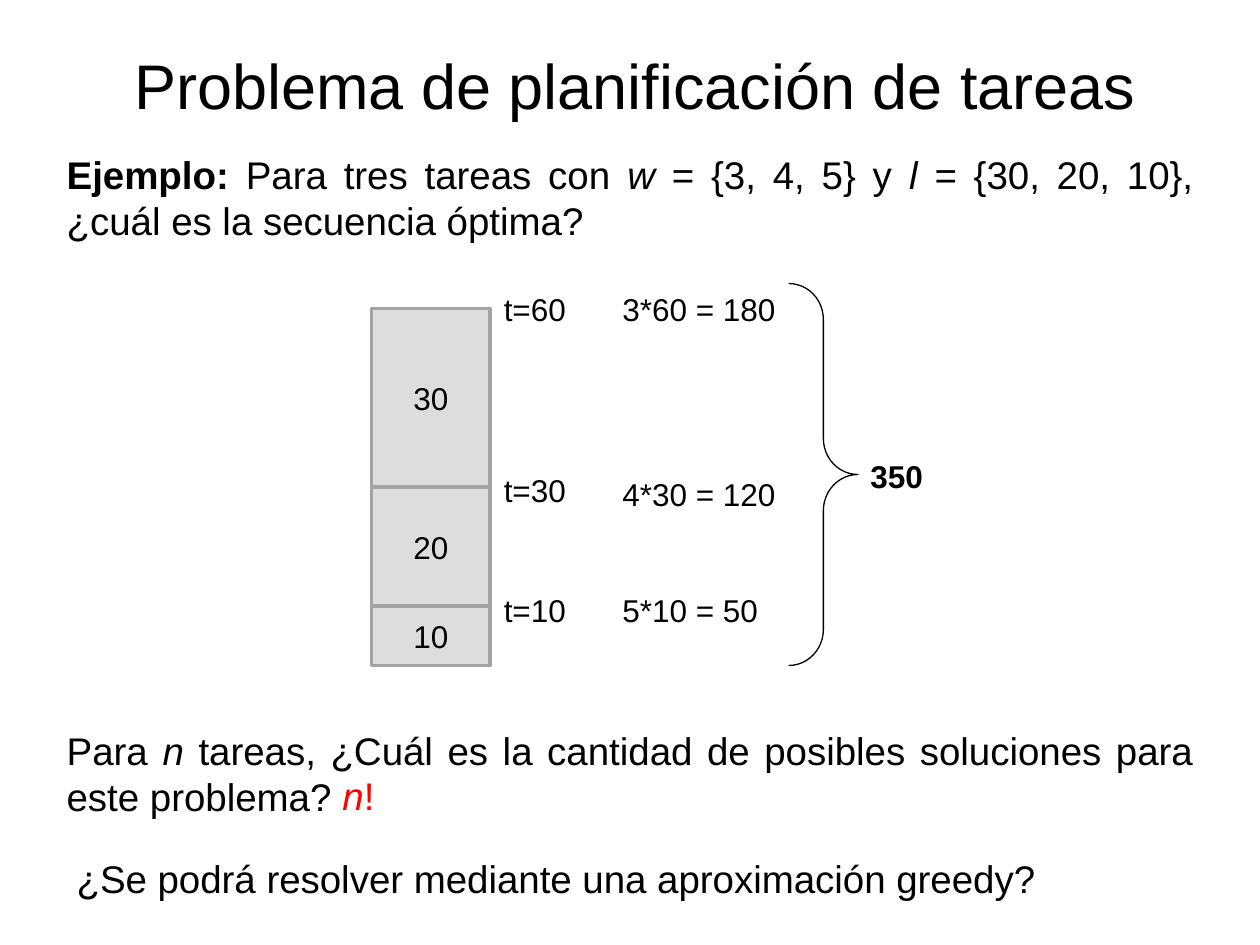
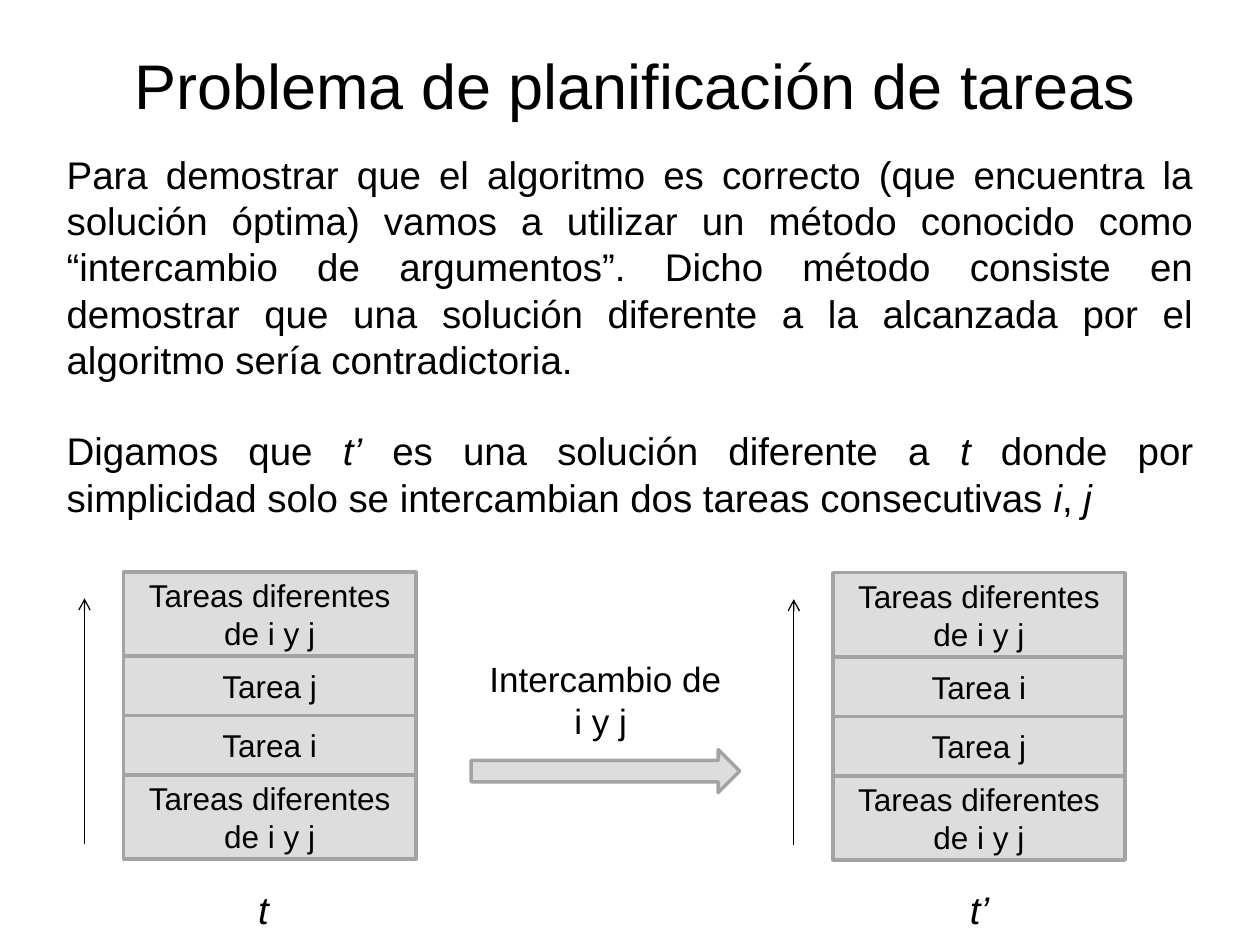
from lxml import etree
from pptx import Presentation
from pptx.dml.color import RGBColor
from pptx.enum import shapes, text
from pptx.oxml import ns
from pptx.util import Pt

BLACK = RGBColor(0x00, 0x00, 0x00)
RED = RGBColor(0xFF, 0x00, 0x00)
TASK_FILL = RGBColor(0xDD, 0xDD, 0xDD)
TASK_EDGE = RGBColor(0xA3, 0xA3, 0xA3)

FONT = "Arial"
LABEL, BODY, TITLE = 18, 22, 36
CENTER, JUSTIFY = text.PP_ALIGN.CENTER, text.PP_ALIGN.JUSTIFY
BODY_LEFT, BODY_TOP, BODY_WIDTH = 31, 82.8, 658


def italic(words):
    return words, "italic"


def bold(words):
    return words, "bold"


class Slides:
    """Shared style plus the slide being filled."""

    def __init__(self):
        self.deck = Presentation()
        self.deck.slide_width, self.deck.slide_height = Pt(720), Pt(540)
        self.page = None

    def new_page(self, title):
        self.page = self.deck.slides.add_slide(self.deck.slide_layouts[6])
        self.text(36.7, 15.1, 652.3, 58.3, [title], TITLE, CENTER,
                  anchor=text.MSO_ANCHOR.BOTTOM)

    def fill_para(self, para, spans, size, align=None, color=BLACK):
        """Fill a paragraph with plain strings and (words, style) pairs."""
        para.alignment = align
        para.font.name, para.font.size = FONT, Pt(size)
        para.font.color.rgb = color
        for item in spans:
            words, style = (item, None) if isinstance(item, str) else item
            span = para.add_run()
            span.text = words
            if style == "italic":
                span.font.italic = True
            elif style == "bold":
                span.font.bold = True

    def text(self, left, top, width, height, spans, size=LABEL, align=None,
             color=BLACK, wrap=True, anchor=text.MSO_ANCHOR.TOP):
        box = self.page.shapes.add_textbox(Pt(left), Pt(top), Pt(width), Pt(height))
        frame = box.text_frame
        frame.word_wrap, frame.vertical_anchor = wrap, anchor
        self.fill_para(frame.paragraphs[0], spans, size, align, color)
        return frame

    def body(self, top, height, *paragraphs):
        """Justified text across the page, one line apart."""
        frame = self.text(BODY_LEFT, top, BODY_WIDTH, height, paragraphs[0], BODY, JUSTIFY)
        for spans in paragraphs[1:]:
            para = frame.add_paragraph()
            para.space_before = Pt(26)
            self.fill_para(para, spans, BODY, JUSTIFY)

    def shape(self, kind, left, top, width, height, label=None):
        shape = self.page.shapes.add_shape(kind, Pt(left), Pt(top), Pt(width), Pt(height))
        shape.shadow.inherit = False
        shape.fill.solid()
        shape.fill.fore_color.rgb = TASK_FILL
        shape.line.color.rgb, shape.line.width = TASK_EDGE, Pt(2)
        if label:
            shape.text_frame.vertical_anchor = text.MSO_ANCHOR.MIDDLE
            self.fill_para(shape.text_frame.paragraphs[0], [label], LABEL, CENTER)
        return shape

    def task(self, left, top, width, height, label):
        self.shape(shapes.MSO_SHAPE.RECTANGLE, left, top, width, height, label)

    def brace(self, left, top, width, height):
        brace = self.shape(shapes.MSO_SHAPE.RIGHT_BRACE, left, top, width, height)
        brace.fill.background()
        brace.line.color.rgb, brace.line.width = BLACK, Pt(0.75)
        brace.adjustments[0], brace.adjustments[1] = 0.52, 0.5

    def up_arrow(self, x, bottom, top):
        arrow = self.page.shapes.add_connector(
            shapes.MSO_CONNECTOR.STRAIGHT, Pt(x), Pt(bottom), Pt(x), Pt(top))
        arrow.line.color.rgb, arrow.line.width = BLACK, Pt(0.75)
        properties = arrow._element.spPr
        etree.SubElement(properties.get_or_add_ln(), ns.qn("a:tailEnd"), type="arrow")
        etree.SubElement(properties, ns.qn("a:effectLst"))


def example_page(slides):
    slides.new_page("Problema de planificación de tareas")
    slides.body(BODY_TOP, 62.6, [
        bold("Ejemplo: "), "Para tres tareas con ", italic("w"), " = {3, 4, 5} y ",
        italic("l"), " = {30, 20, 10}, ¿cuál es la secuencia óptima?"])

    # Tasks stacked from the bottom, height proportional to duration
    points_per_unit, floor = 3.4, 380.3
    finish = 0
    for weight, length, time_top, cost_top in [
            (5, 10, 334.1, 334.1), (4, 20, 265.7, 267.8), (3, 30, 162, 162)]:
        finish += length
        slides.task(212.4, floor - finish * points_per_unit, 67.7,
                    length * points_per_unit, str(length))
        slides.text(280.8, time_top, 50.4, 28.8, [f"t={finish}"], wrap=False)
        slides.text(348.5, cost_top, 102.2, 28.8,
                    [f"{weight}*{finish} = {weight * finish}"])

    # Total cost
    slides.brace(450.7, 162, 39.6, 218.3)
    slides.text(490.3, 257.8, 51.1, 28.8, [bold("350")])

    # Questions
    slides.body(411.8, 62.6, [
        "Para ", italic("n "),
        "tareas, ¿Cuál es la cantidad de posibles soluciones para este problema?"])
    slides.text(188.6, 437.8, 33.1, 33.8, [italic("n"), "!"], BODY, color=RED, wrap=False)
    slides.text(36.7, 485.3, 652.3, 33.8,
                ["¿Se podrá resolver mediante una aproximación greedy?"], BODY, JUSTIFY)


def task_order(slides, left, top, middle, name, name_left, name_width):
    """One sequence of tasks with its time arrow and name."""
    others = "Tareas diferentes de i y j"
    y = top
    for label in (others, *middle, others):
        height = 48.2 if label == others else 33.9
        slides.task(left, y, 167, height, label)
        y += height
    slides.up_arrow(left - 22.3, top + 155.5, top + 15.1)
    slides.text(name_left, 502.6, name_width, 33.8, [italic(name)], BODY, wrap=False)


def exchange_page(slides):
    slides.new_page("Problema de planificación de tareas")
    slides.body(
        BODY_TOP, 221,
        ["Para demostrar que el algoritmo es correcto (que encuentra la solución óptima) "
         "vamos a utilizar un método conocido como “intercambio de argumentos”. Dicho "
         "método consiste en demostrar que una solución diferente a la alcanzada por el "
         "algoritmo sería contradictoria."],
        ["Digamos que ", italic("t’"), " es una solución diferente a ", italic("t"),
         " donde por simplicidad solo se intercambian dos tareas consecutivas ",
         italic("i"), ", ", italic("j")])

    # Both orders and the exchange between them
    task_order(slides, 70.6, 326.8, ("Tarea j", "Tarea i"), "t", 140.4, 20.9)
    task_order(slides, 475.9, 327.3, ("Tarea i", "Tarea j"), "t’", 547.2, 31.7)
    slides.text(269.3, 372.2, 153.4, 55.4, ["Intercambio de i y j "], 20, CENTER)
    slides.shape(shapes.MSO_SHAPE.RIGHT_ARROW, 269.3, 428.4, 153.4, 24.5)


def main():
    slides = Slides()
    example_page(slides)
    exchange_page(slides)
    slides.deck.save("out.pptx")


if __name__ == "__main__":
    main()
